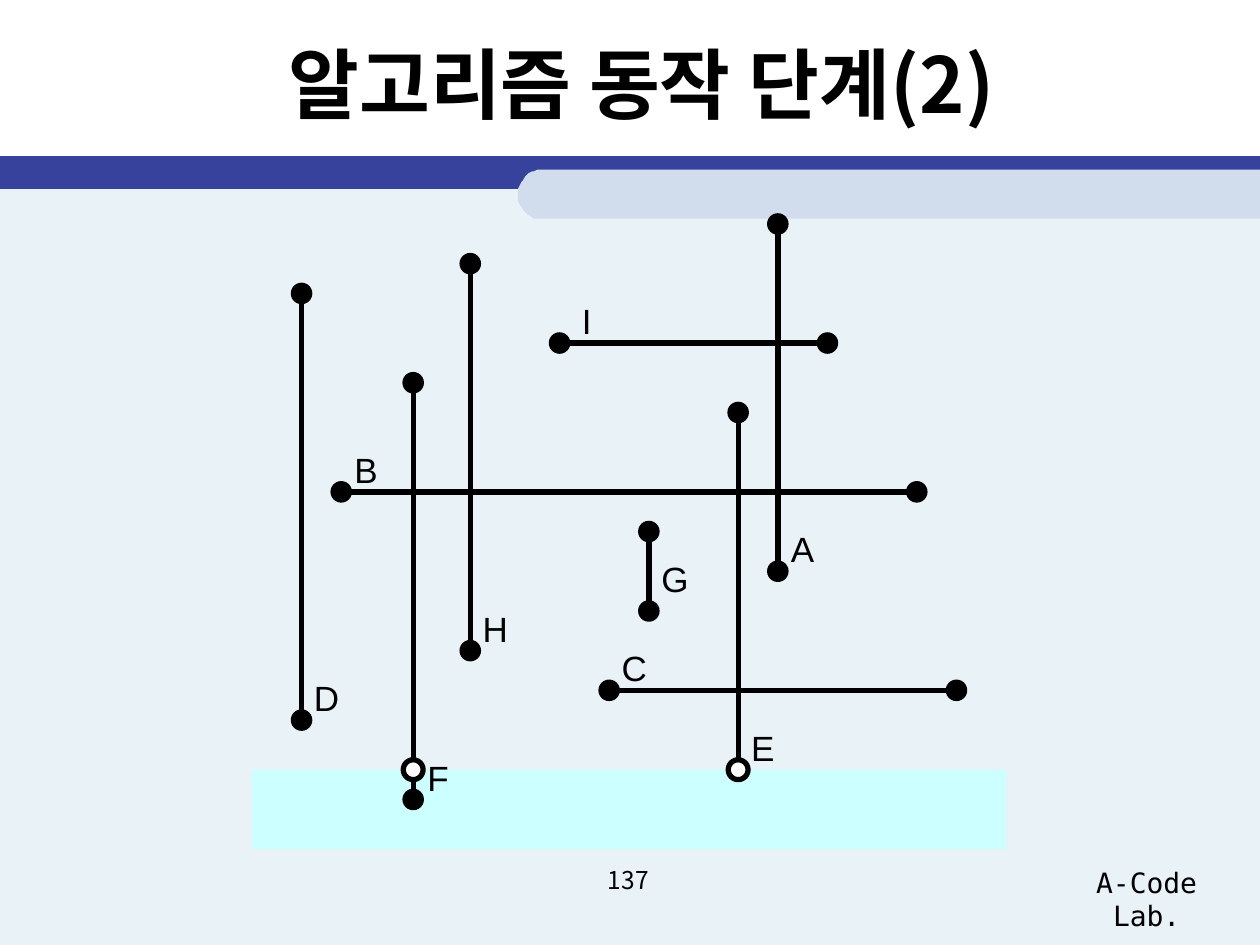
from dataclasses import dataclass
from math import cos, pi, sin

from pptx import Presentation
from pptx.dml.color import RGBColor
from pptx.enum.shapes import MSO_CONNECTOR, MSO_SHAPE
from pptx.enum.text import MSO_ANCHOR, PP_ALIGN
from pptx.oxml.ns import qn
from pptx.util import Pt
from lxml import etree

RECT, OVAL = MSO_SHAPE.RECTANGLE, MSO_SHAPE.OVAL
LINE = MSO_CONNECTOR.STRAIGHT
CENTER = PP_ALIGN.CENTER
TOP, MIDDLE = MSO_ANCHOR.TOP, MSO_ANCHOR.MIDDLE


@dataclass(frozen=True)
class Theme:
    ink: str = "000000"
    white: str = "FFFFFF"
    page: str = "E8F2F7"
    bar: str = "36429B"
    tab: str = "D1DDEC"
    sweep: str = "CCFFFF"
    head: str = "Noto Sans CJK KR"
    mono: str = "DejaVu Sans Mono"
    sans: str = "Arial"
    title: int = 44
    label: int = 20
    lab: int = 16
    page_no: int = 14
    stroke: int = 3
    thin: int = 1


THEME = Theme()

# name: (start, end, label anchor), in grid steps
SEGMENTS = {
    "A": ((53, 0), (53, 35), (53, 30)),
    "B": ((9, 27), (67, 27), (9, 22)),
    "C": ((36, 47), (71, 47), (36, 42)),
    "D": ((5, 7), (5, 50), (5, 45)),
    "E": ((49, 19), (49, 55), (49, 50)),
    "F": ((16.25, 16), (16.25, 58), (16.25, 53)),
    "G": ((40, 31), (40, 39), (40, 33)),
    "H": ((22, 4), (22, 43), (22, 38)),
    "I": ((31, 12), (58, 12), (32, 7)),
}
CROSSINGS = [(49, 55), (16.25, 55)]
SWEEP = (0, 55, 76, 8)
STEP = 5.67


def color(code):
    return RGBColor.from_string(code)


def paint(shape, fill, line=None, width=0):
    shape.shadow.inherit = False
    shape.fill.solid()
    shape.fill.fore_color.rgb = color(fill)
    if line:
        shape.line.color.rgb = color(line)
        shape.line.width = Pt(width)
    else:
        shape.line.fill.background()


def add_form(slide, kind, box, fill, line=None, width=0):
    shape = slide.shapes.add_shape(kind, *map(Pt, box))
    paint(shape, fill, line, width)


def add_text(slide, box, text, face, size, bold=False, anchor=TOP, wrap=True):
    frame = slide.shapes.add_textbox(*map(Pt, box)).text_frame
    frame.word_wrap = wrap
    frame.vertical_anchor = anchor
    para = frame.paragraphs[0]
    para.alignment = CENTER
    run = para.add_run()
    run.text = text
    font = run.font
    font.name, font.size, font.bold = face, Pt(size), bold
    font.color.rgb = color(THEME.ink)
    props = run._r.get_or_add_rPr()
    for tag in ("a:ea", "a:cs"):
        etree.SubElement(props, qn(tag)).set("typeface", face)


def add_tab(slide, box, fill):
    """Band whose left end is a half ellipse."""
    left, top, width, height = box
    bend, half = 12.2, height / 2
    turns = [pi * i / 24 for i in range(25)]
    arc = [(left + bend * (1 - sin(t)), top + half * (1 - cos(t)))
           for t in turns]
    right = left + width
    build = slide.shapes.build_freeform(right, top, scale=Pt(1))
    build.add_line_segments(arc + [(right, top + height)], close=True)
    paint(build.convert_to_shape(), fill)


def add_frame(slide, box):
    left, top, width, height = box
    add_form(slide, RECT, (left, top + 100.8, width, height - 100.8),
             THEME.page)
    add_form(slide, RECT, (left, top + 89.3, width, 18.7), THEME.bar)
    add_tab(slide, (left + 296, top + 97.2, width - 296, 28), THEME.tab)
    add_text(slide, (left + 42.5, top + 5.8, 648, 82.8),
             "알고리즘 동작 단계(2)", THEME.head, THEME.title, True, MIDDLE)


def add_foot(slide, box):
    left, top, width, height = box
    add_text(slide, (left + 275, top, 168, height), "137",
             THEME.head, THEME.page_no)
    add_text(slide, (left + 598.3, top, 113.8, height), "A-Code Lab.",
             THEME.mono, THEME.lab)


def add_plot(slide, box):
    """Segments on a grid, with the swept strip along the bottom."""
    left, top = box[:2]

    def spot(point):
        return left + point[0] * STEP, top + point[1] * STEP

    def add_dot(point, fill, width):
        x, y = spot(point)
        add_form(slide, OVAL, (x - STEP, y - STEP, 2 * STEP, 2 * STEP),
                 fill, THEME.ink, width)

    size = [n * STEP for n in SWEEP[2:]]
    add_form(slide, RECT, (*spot(SWEEP[:2]), *size), THEME.sweep)
    for name, (start, end, mark) in SEGMENTS.items():
        ends = map(Pt, (*spot(start), *spot(end)))
        line = slide.shapes.add_connector(LINE, *ends)
        line.line.color.rgb = color(THEME.ink)
        line.line.width = Pt(THEME.stroke)
        etree.SubElement(line._element.spPr, qn("a:effectLst"))
        for point in (start, end):
            if point not in CROSSINGS:
                add_dot(point, THEME.ink, THEME.thin)
        wide = 3.5 if name == "I" else 5
        add_text(slide, (*spot(mark), wide * STEP, 31.5), name,
                 THEME.sans, THEME.label, wrap=False)
    for point in CROSSINGS:
        add_dot(point, THEME.white, THEME.stroke)


def main():
    deck = Presentation()
    deck.slide_width, deck.slide_height = Pt(720), Pt(540)
    slide = deck.slides.add_slide(deck.slide_layouts[6])
    add_frame(slide, (0, 0, 720, 540))
    add_foot(slide, (0, 491, 720, 37.5))
    add_plot(slide, (144, 128, 431, 358))
    deck.save("out.pptx")


if __name__ == "__main__":
    main()
